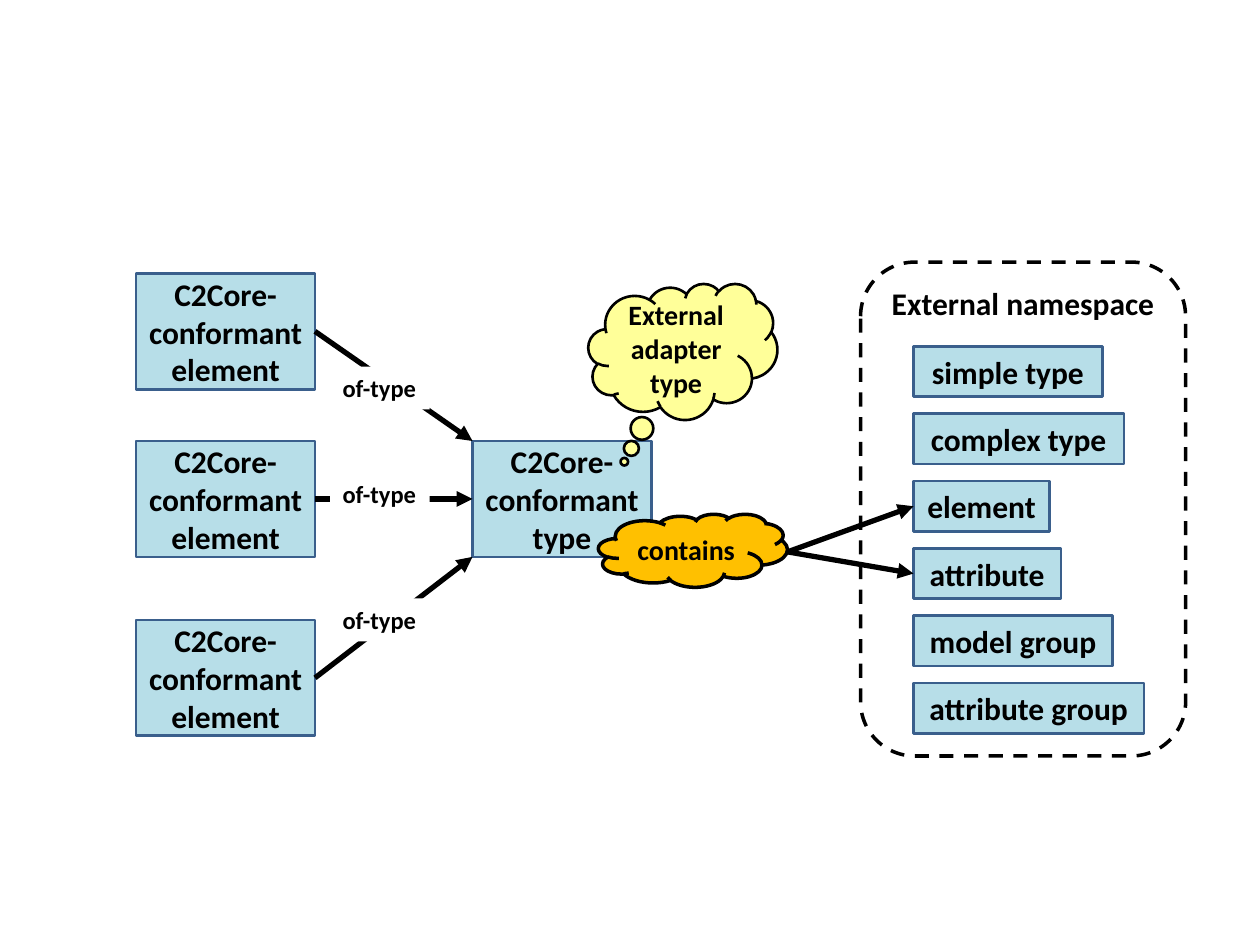
from dataclasses import dataclass

from lxml import etree
from pptx import Presentation
from pptx.dml.color import RGBColor
from pptx.enum.dml import MSO_LINE
from pptx.enum.shapes import MSO_CONNECTOR, MSO_SHAPE as Geo
from pptx.enum.text import MSO_ANCHOR as Anchor, MSO_AUTO_SIZE as Auto, PP_ALIGN as Align
from pptx.oxml.ns import qn
from pptx.util import Inches, Pt

BLACK, WHITE = "000000", "FFFFFF"
BLUE, BLUE_EDGE = "B7DEE8", "3A5F8C"
YELLOW, ORANGE = "FFFF99", "FFC000"
LEFT, RIGHT = 1, 3


@dataclass
class Style:
    geo: Geo = Geo.RECTANGLE
    fill: str | None = BLUE
    edge: str | None = BLUE_EDGE
    edge_width: float = 1.5
    size: int = 18
    align: Align = Align.CENTER
    anchor: Anchor = Anchor.MIDDLE
    fit: bool = False
    wrap: bool = True


BOX = Style()
COMPONENT = Style(fit=True)
LABEL = Style(fill=WHITE, edge=None, size=14, align=Align.LEFT,
              anchor=Anchor.TOP, fit=True, wrap=False)
NAMESPACE = Style(geo=Geo.ROUNDED_RECTANGLE, fill=None, edge=BLACK,
                  edge_width=2, anchor=Anchor.TOP)
ADAPTER = Style(geo=Geo.CLOUD_CALLOUT, fill=YELLOW, edge=BLACK, size=16)
CONTAINS = Style(geo=Geo.CLOUD, fill=ORANGE, edge=BLACK, edge_width=2, size=16)


@dataclass
class Component:
    name: str
    width: float


COMPONENTS = [
    Component("simple type", 1.5),
    Component("complex type", 1.67),
    Component("element", 1.08),
    Component("attribute", 1.17),
    Component("model group", 1.58),
    Component("attribute group", 1.83),
]
COMPONENT_TOP, COMPONENT_PITCH = 2.75, (5.42 - 2.75) / 5
ELEMENT_TOPS = [2.17, 3.5, 4.92]
LABEL_TOPS = [2.91, 3.75, 4.75]
BOX_W, BOX_H = 1.42, 0.92
TYPE_LEFT, TYPE_TOP = 3.75, 3.5


def rgb(color: str) -> RGBColor:
    return RGBColor.from_string(color)


def add_node(s, text: str, x: float, y: float, w: float, h: float, style: Style):
    """Add a shape with one bold paragraph."""
    sp = s.shapes.add_shape(style.geo, Inches(x), Inches(y), Inches(w), Inches(h))
    sp.shadow.inherit = False
    if style.fill:
        sp.fill.solid()
        sp.fill.fore_color.rgb = rgb(style.fill)
    else:
        sp.fill.background()
    if style.edge:
        sp.line.color.rgb = rgb(style.edge)
        sp.line.width = Pt(style.edge_width)
    else:
        sp.line.fill.background()
    tf = sp.text_frame
    tf.word_wrap = style.wrap
    tf.vertical_anchor = style.anchor
    if style.fit:
        tf.auto_size = Auto.SHAPE_TO_FIT_TEXT
    p = tf.paragraphs[0]
    p.alignment = style.align
    r = p.add_run()
    r.text = text
    r.font.name, r.font.size, r.font.bold = "Calibri", Pt(style.size), True
    r.font.color.rgb = rgb(BLACK)
    return sp


def add_arrow(s, start: tuple[float, float], end: tuple[float, float],
              source=None, target=None) -> None:
    """Draw an arrow, joined to a source's right side and a target's left side if given."""
    line = s.shapes.add_connector(MSO_CONNECTOR.STRAIGHT, *map(Inches, start + end))
    if source is not None:
        line.begin_connect(source, RIGHT)
    if target is not None:
        line.end_connect(target, LEFT)
    line.line.color.rgb = rgb(BLACK)
    line.line.width = Pt(3)
    etree.SubElement(line.line._get_or_add_ln(), qn("a:tailEnd"), type="triangle")
    etree.SubElement(line._element.spPr, qn("a:effectLst"))


def main() -> None:
    prs = Presentation()
    prs.slide_width, prs.slide_height = Inches(10), Inches(7.5)
    s = prs.slides.add_slide(prs.slide_layouts[6])

    elements = [add_node(s, "C2Core-conformant element", 1.08, top, BOX_W, BOX_H, BOX)
                for top in ELEMENT_TOPS]
    core_type = add_node(s, "C2Core-conformant type", TYPE_LEFT, TYPE_TOP, BOX_W, BOX_H, BOX)
    components = {
        c.name: add_node(s, c.name, 7.25, COMPONENT_TOP + i * COMPONENT_PITCH,
                         c.width, 0.4, COMPONENT)
        for i, c in enumerate(COMPONENTS)
    }

    # The outer arrows end at the type's left corners, the middle one at its side
    for i, (element, top) in enumerate(zip(elements, ELEMENT_TOPS)):
        add_arrow(s, (2.5, top + BOX_H / 2), (TYPE_LEFT, TYPE_TOP + i * BOX_H / 2),
                  element, core_type if i == 1 else None)
    for top in LABEL_TOPS:
        add_node(s, "of-type", 2.62, top, 0.79, 0.34, LABEL)

    namespace = add_node(s, "External namespace", 6.83, 2.08, 2.58, 3.92, NAMESPACE)
    namespace.line.dash_style = MSO_LINE.DASH
    adapter = add_node(s, "External adapter type", 4.67, 2.25, 1.5, 1.08, ADAPTER)
    adapter.adjustments[0], adapter.adjustments[1] = -0.31, 0.81
    add_node(s, "contains", 4.75, 4.08, 1.5, 0.58, CONTAINS)
    for name, y in (("attribute", 4.55), ("element", 4.02)):
        add_arrow(s, (6.25, 4.38), (7.25, y), target=components[name])

    prs.save("out.pptx")


if __name__ == "__main__":
    main()
